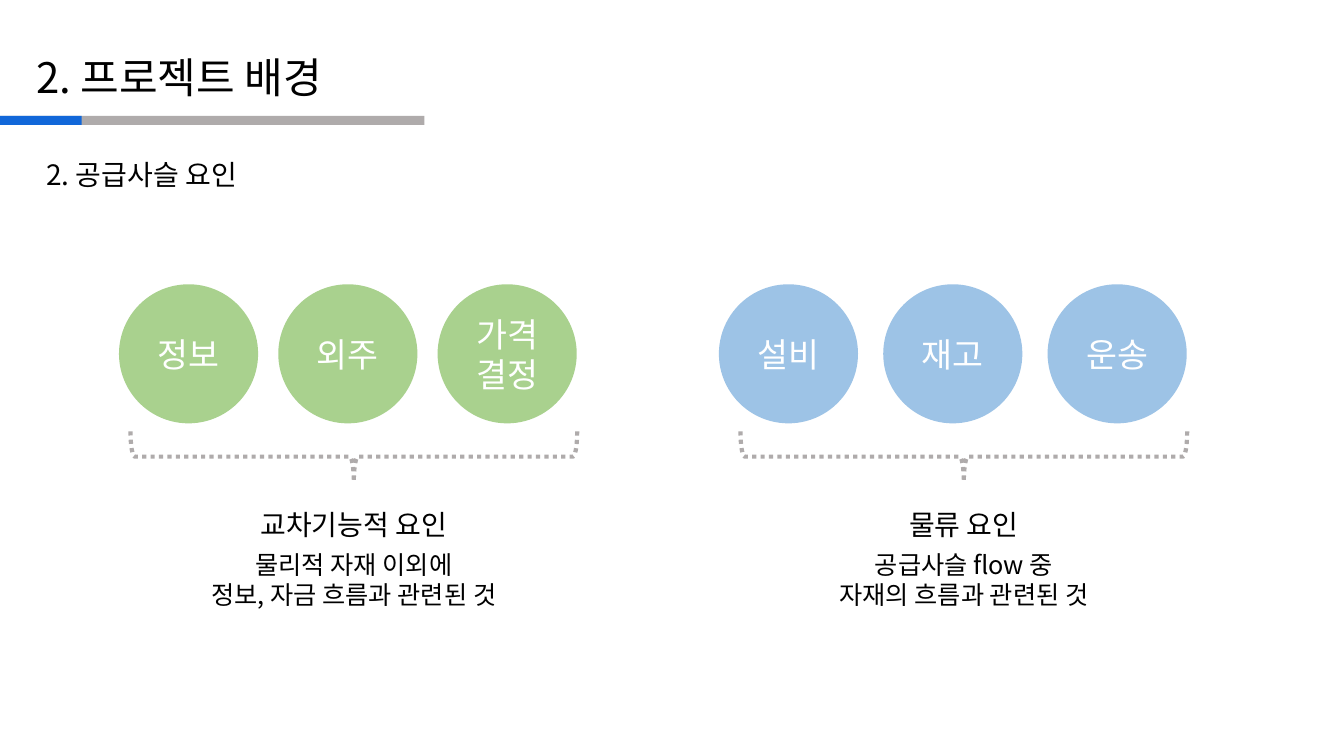
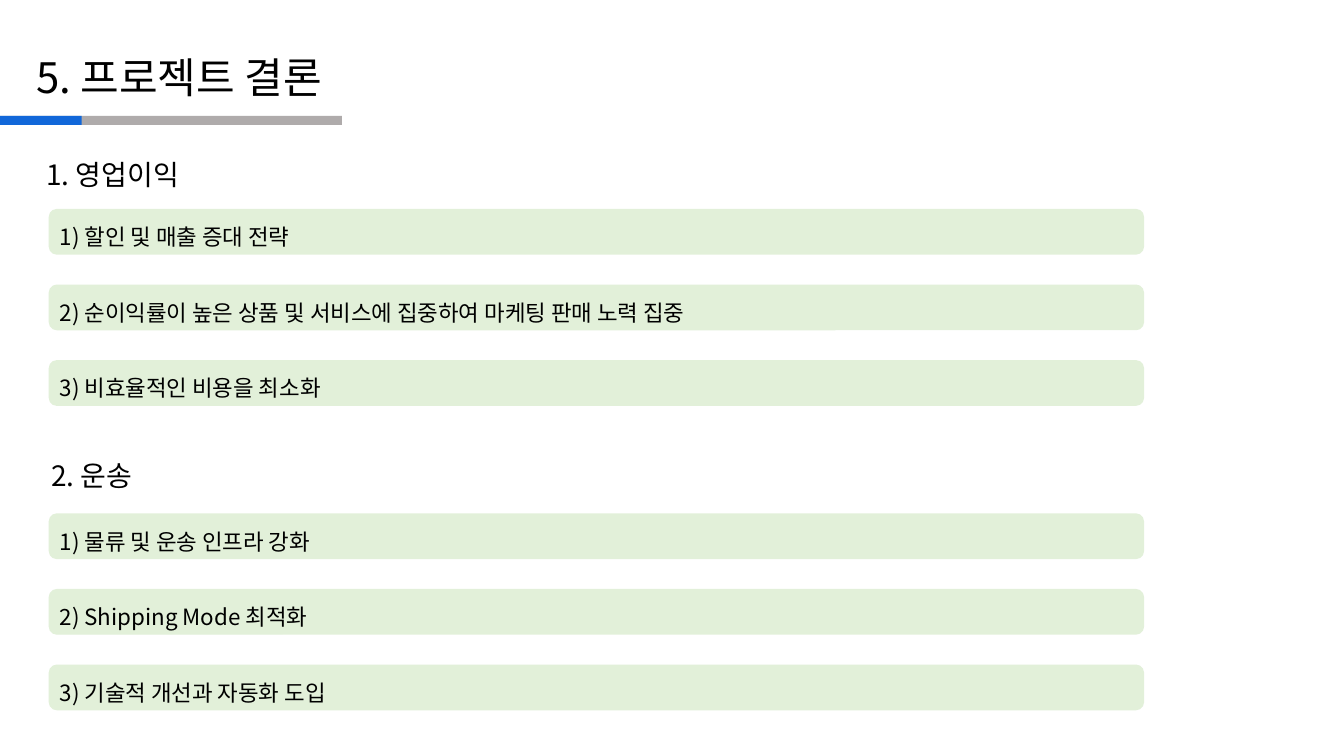
from pptx import Presentation
from pptx.dml.color import RGBColor
from pptx.enum.dml import MSO_LINE
from pptx.enum.shapes import MSO_SHAPE as SHAPE
from pptx.enum.text import MSO_ANCHOR as ANCHOR, MSO_AUTO_SIZE as AUTO, PP_ALIGN as ALIGN
from pptx.oxml.ns import qn
from pptx.util import Inches, Pt
from lxml import etree

FONT = "Noto Sans CJK KR"
COLORS = {
    "text": "000000",
    "white": "FFFFFF",
    "accent": "1167D9",
    "gray": "AFABAB",
    "green": "A9D18E",
    "blue": "9DC3E6",
    "pale": "E2F0D9",
}


def color(name):
    return RGBColor.from_string(COLORS[name])


def place(sp, x, y, w, h):
    sp.left, sp.top, sp.width, sp.height = (Inches(v) for v in (x, y, w, h))


def write(sp, lines, size, tint="text", align=ALIGN.LEFT, anchor=ANCHOR.MIDDLE,
          insets=(0, 0, 0, 0)):
    """Fill a shape with one paragraph per line; insets are left, top, right, bottom."""
    tf = sp.text_frame
    tf.word_wrap = True
    tf.auto_size = AUTO.NONE
    tf.vertical_anchor = anchor
    tf.margin_left, tf.margin_top, tf.margin_right, tf.margin_bottom = map(Inches, insets)
    for i, line in enumerate(lines):
        p = tf.add_paragraph() if i else tf.paragraphs[0]
        p.alignment = align
        r = p.add_run()
        r.text = line
        r.font.size = Pt(size)
        r.font.name = FONT
        r.font.color.rgb = color(tint)
        # East Asian typeface follows the Latin one
        ea = etree.SubElement(r.font._element, qn("a:ea"))
        ea.set("typeface", FONT)


def add_text(slide, box, lines, size, **style):
    sp = slide.shapes.add_textbox(*map(Inches, box))
    write(sp, lines, size, **style)


def add_shape(slide, kind, box, fill):
    sp = slide.shapes.add_shape(kind, *map(Inches, box))
    sp.shadow.inherit = False
    sp.fill.solid()
    sp.fill.fore_color.rgb = color(fill)
    sp.line.fill.background()
    return sp


def add_slide(prs, title, rule_width):
    """Start a slide with the shared title and two-tone rule."""
    slide = prs.slides.add_slide(prs.slide_layouts.get_by_name("Title Only"))
    sp = slide.shapes.title
    place(sp, 0.36, 0.51, 6.96, 0.5)
    write(sp, [title], 30)
    for width, fill in ((rule_width, "gray"), (0.81, "accent")):
        add_shape(slide, SHAPE.RECTANGLE, (0, 1.15, width, 0.09), fill)
    return slide


def add_heading(slide, x, y, text):
    add_text(slide, (x, y, 5.77, 0.44), [text], 20, anchor=ANCHOR.TOP,
             insets=(0.1, 0.05, 0.1, 0.05))


def add_brace(slide, center):
    """Dotted brace opening upwards, centred on the given x."""
    depth, span, middle = 0.5, 4.43, 4.53
    box = (center - depth / 2, middle - span / 2, depth, span)
    sp = slide.shapes.add_shape(SHAPE.LEFT_BRACE, *map(Inches, box))
    sp.shadow.inherit = False
    sp.rotation = 270
    sp.fill.background()
    sp.line.color.rgb = color("gray")
    sp.line.width = Pt(3)
    sp.line.dash_style = MSO_LINE.ROUND_DOT


def add_factor_group(slide, left, step, center, fill, factors, name, details):
    """Row of circles, a brace below, then the group's name and description."""
    for i, factor in enumerate(factors):
        sp = add_shape(slide, SHAPE.OVAL, (left + i * step, 2.82, 1.38, 1.38), fill)
        write(sp, [factor], 24, tint="white", align=ALIGN.CENTER,
              insets=(0.1, 0.05, 0.1, 0.05))
    add_brace(slide, center)
    for lines, size, y, w, h in (([name], 20, 5.03, 3.25, 0.34),
                                 (details, 18, 5.44, 3.94, 0.61)):
        add_text(slide, (center - w / 2, y, w, h), lines, size, align=ALIGN.CENTER)


def add_bars(slide, top, items):
    """Numbered statements, each in a rounded bar."""
    for i, item in enumerate(items):
        sp = add_shape(slide, SHAPE.ROUNDED_RECTANGLE,
                       (0.49, top + i * 0.75, 10.85, 0.44), "pale")
        sp.line.color.rgb = color("pale")
        sp.line.width = Pt(1)
        write(sp, [f"{i + 1}) {item}"], 16, insets=(0.08, 0.1, 0.08, 0))


def build_background(prs):
    slide = add_slide(prs, "2. 프로젝트 배경", 4.21)
    add_heading(slide, 0.36, 1.51, "2. 공급사슬 요인")
    add_factor_group(slide, 1.18, 1.58, 3.51, "green", ["정보", "외주", "가격결정"],
                     "교차기능적 요인", ["물리적 자재 이외에", "정보, 자금 흐름과 관련된 것"])
    add_factor_group(slide, 7.13, 1.63, 9.56, "blue", ["설비", "재고", "운송"],
                     "물류 요인", ["공급사슬 flow 중", "자재의 흐름과 관련된 것"])


def build_conclusion(prs):
    slide = add_slide(prs, "5. 프로젝트 결론", 3.39)
    add_heading(slide, 0.36, 1.51, "1. 영업이익")
    add_bars(slide, 2.08, ["할인 및 매출 증대 전략",
                           "순이익률이 높은 상품 및 서비스에 집중하여 마케팅 판매 노력 집중",
                           "비효율적인 비용을 최소화"])
    add_heading(slide, 0.41, 4.5, "2. 운송")
    add_bars(slide, 5.1, ["물류 및 운송 인프라 강화",
                          "Shipping Mode 최적화",
                          "기술적 개선과 자동화 도입"])


def main():
    prs = Presentation()
    prs.slide_width, prs.slide_height = Inches(13.33), Inches(7.5)
    build_background(prs)
    build_conclusion(prs)
    prs.save("out.pptx")


if __name__ == "__main__":
    main()
